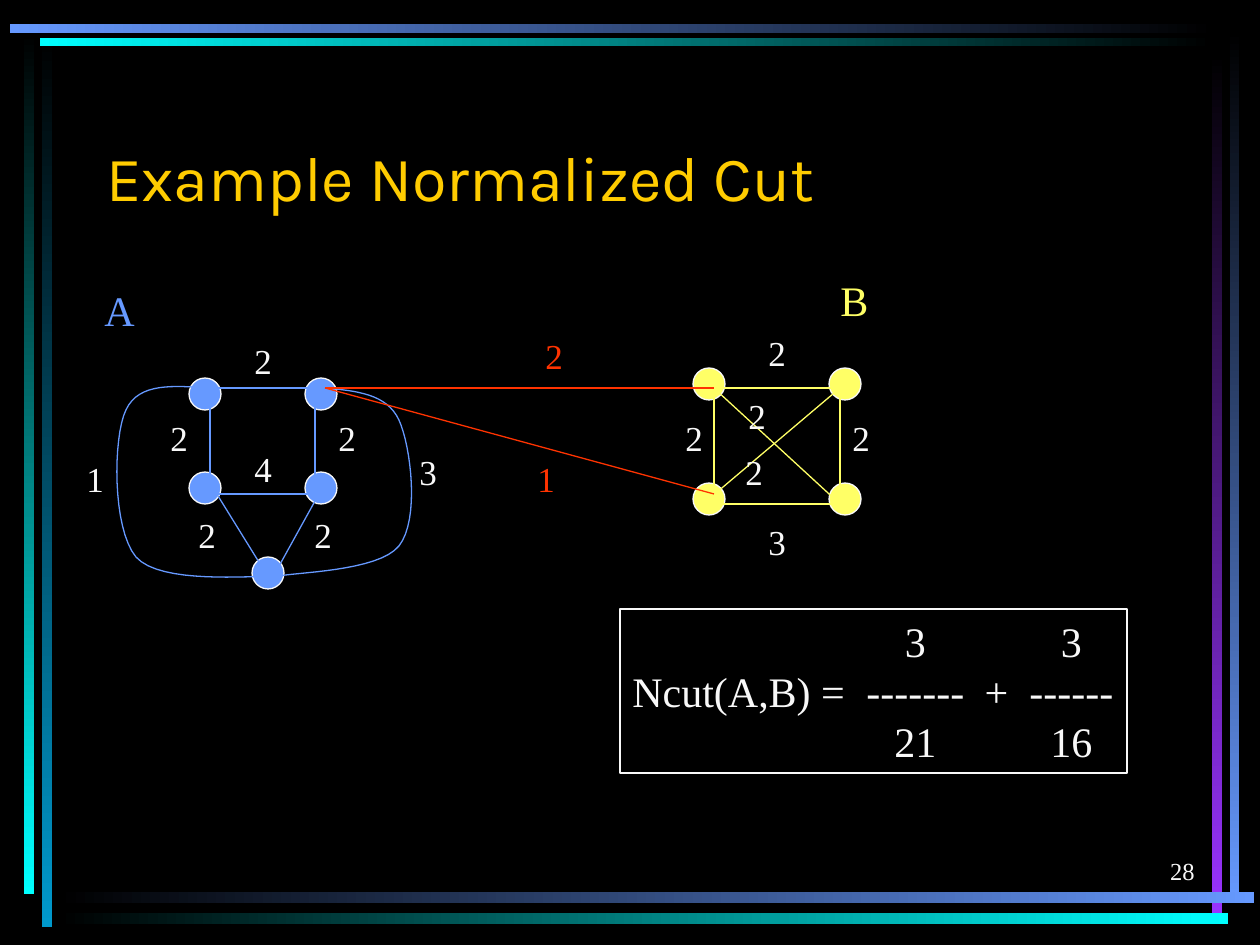
"""Builds the normalized cut example: two weighted clusters and the Ncut formula."""
from dataclasses import dataclass
from typing import NamedTuple

from lxml.etree import SubElement
from pptx import Presentation
from pptx.dml.color import RGBColor
from pptx.enum.shapes import MSO_CONNECTOR as Connector, MSO_SHAPE as Preset
from pptx.enum.text import MSO_ANCHOR as Anchor, PP_ALIGN as Align
from pptx.oxml.ns import qn
from pptx.util import Emu, Pt

EMU_PER_PX = 914400 / 126
NODE_SIZE = 32
HAIRLINE = Pt(0.75)
CURVE_STEPS = 16
SERIF = "Times New Roman"

BLACK = RGBColor(0x00, 0x00, 0x00)
WHITE = RGBColor(0xF8, 0xF8, 0xF8)
GOLD = RGBColor(0xFF, 0xCC, 0x00)
BLUE = RGBColor(0x66, 0x99, 0xFF)
YELLOW = RGBColor(0xFF, 0xFF, 0x66)
RED = RGBColor(0xFF, 0x33, 0x00)
CYAN = RGBColor(0x00, 0xFF, 0xFF)
TEAL = RGBColor(0x00, 0x99, 0xCC)
PURPLE = RGBColor(0x99, 0x33, 0xFF)

Point = tuple[int, int]


class Box(NamedTuple):
    left: int
    top: int
    width: int
    height: int


class Bar(NamedTuple):
    box: Box
    start: RGBColor
    end: RGBColor


class Edge(NamedTuple):
    start: Point
    end: Point


class Weight(NamedTuple):
    value: str
    left: int
    top: int


@dataclass
class Cluster:
    name: str
    name_box: Box
    color: RGBColor
    nodes: list[Point]
    edges: list[Edge]
    arcs: list[list[Point]]
    weights: list[Weight]


FRAME = [
    Bar(Box(42, 35, 10, 892), BLACK, TEAL),
    Bar(Box(24, 32, 10, 862), BLACK, CYAN),
    Bar(Box(1230, 30, 9, 873), BLACK, BLUE),
    Bar(Box(1212, 53, 10, 861), BLACK, PURPLE),
    Bar(Box(57, 892, 1197, 11), BLACK, BLUE),
    Bar(Box(57, 913, 1171, 11), BLACK, CYAN),
    Bar(Box(40, 38, 1174, 8), CYAN, BLACK),
    Bar(Box(10, 24, 1205, 9), BLUE, BLACK),
]

CLUSTER_A = Cluster(
    "A", Box(92, 278, 55, 63), BLUE,
    [(189, 378), (305, 378), (189, 472), (305, 472), (252, 557)],
    [Edge((199, 388), (325, 388)), Edge((210, 388), (210, 494)),
     Edge((315, 399), (315, 494)), Edge((210, 494), (315, 494)),
     Edge((210, 483), (262, 567)), Edge((325, 483), (273, 577))],
    [[(210, 388), (174, 386), (139, 382), (126, 410), (113, 437),
      (112, 528), (136, 557), (161, 585), (251, 575), (273, 577)],
     [(325, 388), (357, 391), (387, 394), (399, 420), (411, 446),
      (420, 520), (399, 546), (378, 572), (294, 572), (273, 577)]],
    [Weight("2", 242, 333), Weight("2", 158, 410), Weight("2", 326, 410),
     Weight("2", 186, 507), Weight("2", 302, 507), Weight("4", 242, 441),
     Weight("1", 74, 451), Weight("3", 407, 444)],
)

CLUSTER_B = Cluster(
    "B", Box(828, 268, 53, 63), YELLOW,
    [(693, 368), (829, 368), (693, 483), (829, 483)],
    [Edge((714, 378), (714, 494)), Edge((840, 388), (840, 504)),
     Edge((714, 388), (850, 388)), Edge((714, 504), (840, 504)),
     Edge((840, 388), (703, 504)), Edge((703, 378), (840, 504))],
    [],
    [Weight("2", 756, 325), Weight("2", 673, 410), Weight("2", 840, 410),
     Weight("3", 756, 514), Weight("2", 736, 388), Weight("2", 733, 444)],
)

CUT_EDGES = [Edge((325, 388), (714, 388)), Edge((325, 388), (714, 494))]
CUT_WEIGHTS = [Weight("2", 533, 328), Weight("1", 525, 451)]

FORMULA_BOX = Box(620, 609, 507, 164)
FORMULA_TABS = [283, 364, 439]
FORMULA_ROWS = [
    ["", "3", "", "3"],
    ["Ncut(A,B) =", "-------", "+", "------"],
    ["", "21", "", "16"],
]


def px(length: float) -> Emu:
    """Turn a length in px into EMU."""
    return Emu(round(length * EMU_PER_PX))


def place(box: Box) -> list[Emu]:
    """Return the box in EMU."""
    return [px(length) for length in box]


def style_font(paragraph, size: int, color: RGBColor, face: str = SERIF) -> None:
    """Set the font of a whole paragraph."""
    paragraph.font.size = Pt(size)
    paragraph.font.name = face
    paragraph.font.color.rgb = color


def draw_text(slide, text: str, box: Box, size: int, color: RGBColor, face: str = SERIF,
              anchor=Anchor.TOP, align=Align.LEFT, wrap: bool = False) -> None:
    """Draw one line of text."""
    frame = slide.shapes.add_textbox(*place(box)).text_frame
    frame.word_wrap = wrap
    frame.vertical_anchor = anchor
    line = frame.paragraphs[0]
    line.text = text
    line.alignment = align
    style_font(line, size, color, face)


def draw_bar(slide, bar: Bar) -> None:
    """Draw a frame bar that fades along its length."""
    strip = slide.shapes.add_shape(Preset.RECTANGLE, *place(bar.box))
    strip.shadow.inherit = False
    strip.line.fill.background()
    strip.fill.gradient()
    strip.fill.gradient_angle = 270 if bar.box.height > bar.box.width else 0
    for stop, color in zip(strip.fill.gradient_stops, (bar.start, bar.end)):
        stop.color.rgb = color


def draw_node(slide, corner: Point, color: RGBColor) -> None:
    """Draw a graph node."""
    node = slide.shapes.add_shape(Preset.OVAL, *place(Box(*corner, NODE_SIZE, NODE_SIZE)))
    node.shadow.inherit = False
    node.fill.solid()
    node.fill.fore_color.rgb = color
    node.line.color.rgb = WHITE
    node.line.width = HAIRLINE


def draw_edge(slide, edge: Edge, color: RGBColor) -> None:
    """Draw a straight graph edge."""
    ends = [px(length) for length in (*edge.start, *edge.end)]
    link = slide.shapes.add_connector(Connector.STRAIGHT, *ends)
    link.line.color.rgb = color
    link.line.width = HAIRLINE
    SubElement(link._element.spPr, qn("a:effectLst"))


def bezier(controls: list[Point], t: float) -> tuple[Emu, Emu]:
    """Return the point at t on a cubic curve."""
    shares = ((1 - t) ** 3, 3 * t * (1 - t) ** 2, 3 * t * t * (1 - t), t ** 3)
    x, y = (px(sum(s * c for s, c in zip(shares, axis))) for axis in zip(*controls))
    return x, y


def draw_arc(slide, controls: list[Point], color: RGBColor) -> None:
    """Draw a curved graph edge through joined cubic curves."""
    track = [bezier(controls[first:first + 4], step / CURVE_STEPS)
             for first in range(0, len(controls) - 1, 3)
             for step in range(1, CURVE_STEPS + 1)]
    builder = slide.shapes.build_freeform(*(px(length) for length in controls[0]))
    builder.add_line_segments(track, close=False)
    arc = builder.convert_to_shape()
    arc.shadow.inherit = False
    arc.fill.background()
    arc.line.color.rgb = color
    arc.line.width = HAIRLINE


def draw_weights(slide, weights: list[Weight], color: RGBColor) -> None:
    """Draw edge weights."""
    for weight in weights:
        draw_text(slide, weight.value, Box(weight.left, weight.top, 43, 55), 20, color)


def draw_cluster(slide, cluster: Cluster) -> None:
    """Draw a cluster with its nodes, edges, weights and name."""
    for node in cluster.nodes:
        draw_node(slide, node, cluster.color)
    for edge in cluster.edges:
        draw_edge(slide, edge, cluster.color)
    for arc in cluster.arcs:
        draw_arc(slide, arc, cluster.color)
    draw_weights(slide, cluster.weights, WHITE)
    draw_text(slide, cluster.name, cluster.name_box, 24, cluster.color)


def draw_formula(slide) -> None:
    """Draw the boxed formula, its fractions centred on tab stops."""
    formula = slide.shapes.add_shape(Preset.RECTANGLE, *place(FORMULA_BOX))
    formula.shadow.inherit = False
    formula.fill.background()
    formula.line.color.rgb = WHITE
    formula.line.width = HAIRLINE
    frame = formula.text_frame
    frame.word_wrap = True
    frame.margin_right = 0
    frame.vertical_anchor = Anchor.TOP
    for index, cells in enumerate(FORMULA_ROWS):
        row = frame.add_paragraph() if index else frame.paragraphs[0]
        row.text = "\t".join(cells)
        row.alignment = Align.LEFT
        stops = SubElement(row._p.get_or_add_pPr(), qn("a:tabLst"))
        for tab in FORMULA_TABS:
            SubElement(stops, qn("a:tab"), pos=str(px(tab)), algn="ctr")
        style_font(row, 24, WHITE)


def main() -> None:
    """Build and save the slide."""
    deck = Presentation()
    deck.slide_width, deck.slide_height = px(1260), px(945)
    slide = deck.slides.add_slide(deck.slide_layouts[6])
    slide.background.fill.solid()
    slide.background.fill.fore_color.rgb = BLACK
    for bar in FRAME:
        draw_bar(slide, bar)
    draw_text(slide, "Example Normalized Cut", Box(94, 84, 1071, 136), 36, GOLD, "Karla",
              Anchor.BOTTOM, wrap=True)
    for cluster in (CLUSTER_A, CLUSTER_B):
        draw_cluster(slide, cluster)
    for edge in CUT_EDGES:
        draw_edge(slide, edge, RED)
    draw_weights(slide, CUT_WEIGHTS, RED)
    draw_formula(slide)
    draw_text(slide, "28", Box(945, 829, 262, 63), 14, WHITE,
              anchor=Anchor.BOTTOM, align=Align.RIGHT, wrap=True)
    deck.save("out.pptx")


if __name__ == "__main__":
    main()
